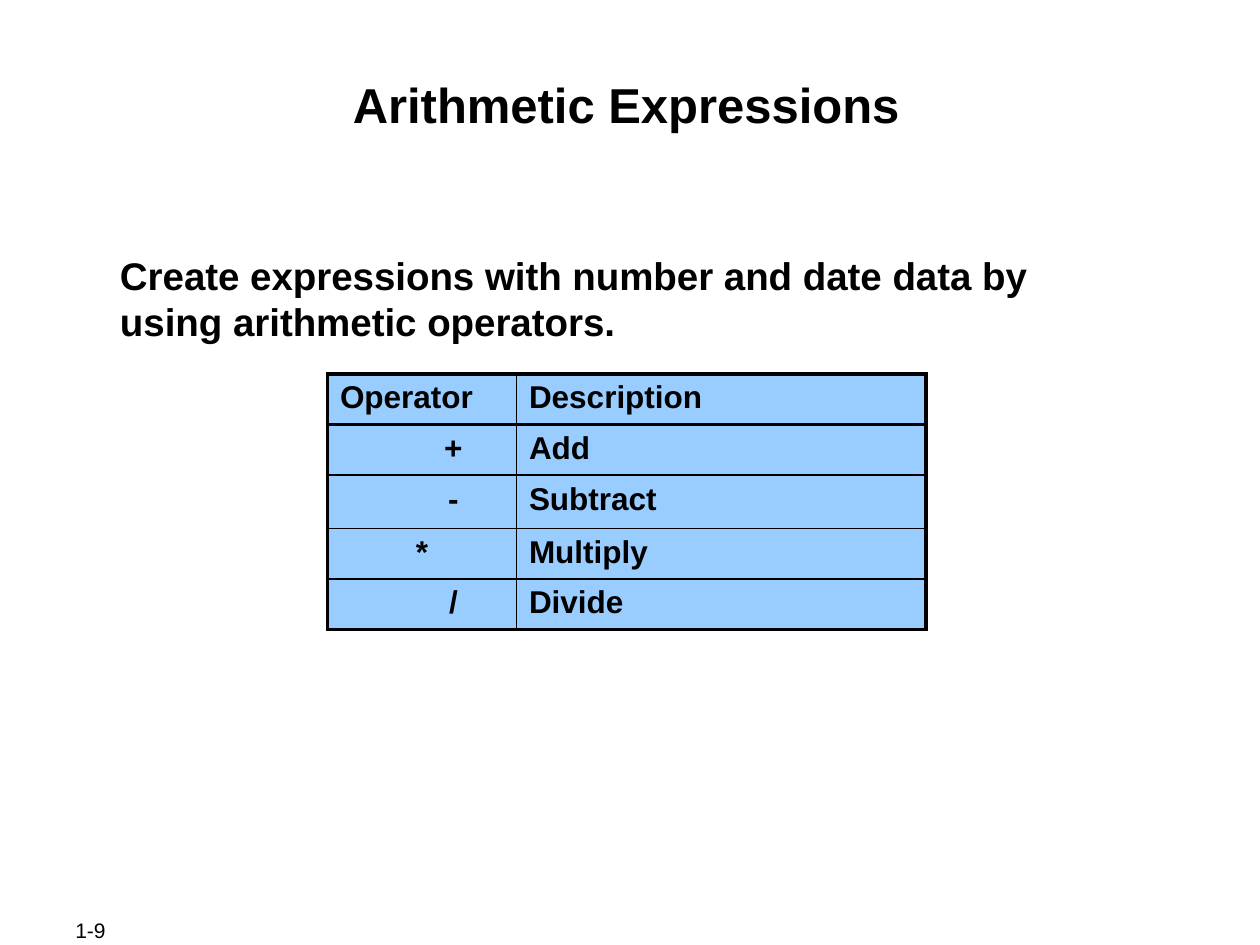
from lxml.etree import SubElement
from pptx import Presentation
from pptx.dml.color import RGBColor
from pptx.enum.text import MSO_ANCHOR as ANCHOR, MSO_AUTO_SIZE as AUTO, PP_ALIGN as ALIGN
from pptx.oxml.ns import qn
from pptx.util import Cm, Pt

TITLE = "Arithmetic Expressions"
BODY = "Create expressions with number and date data by using arithmetic operators."
PAGE = "1-9"
# operator, description, whether the operator is indented
ROWS = [
    ("Operator", "Description", False),
    ("+", "Add", True),
    ("-", "Subtract", True),
    ("*", "Multiply", False),
    ("/", "Divide", True),
]
COL_WIDTHS = [3.81, 8.26]
ROW_HEIGHTS = [1.02, 1.02, 1.07, 1.02, 1.02]
BLACK, LIGHT_BLUE = "000000", "99CCFF"
THIN, THICK = 1, 2.25


def color(hex_code):
    return RGBColor.from_string(hex_code)


def write(tf, text, size, bold=True, align=ALIGN.LEFT, before=0.2):
    """Fill the first paragraph; before is a share of the text size."""
    p = tf.paragraphs[0]
    p.alignment = align
    p.space_before = Pt(round(size * before, 1))
    r = p.add_run()
    r.text = text
    r.font.name, r.font.size, r.font.bold = "Arial", Pt(size), bold
    r.font.color.rgb = color(BLACK)
    return p


def place(sp, left, top, width, height):
    sp.left, sp.top, sp.width, sp.height = Cm(left), Cm(top), Cm(width), Cm(height)


def set_frame(tf, inset=0.03, anchor=ANCHOR.TOP, wrap=True):
    tf.auto_size, tf.word_wrap, tf.vertical_anchor = AUTO.NONE, wrap, anchor
    if inset is not None:
        tf.margin_left = tf.margin_right = tf.margin_top = tf.margin_bottom = Cm(inset)
    return tf


def set_borders(cell, widths):
    """Draw the left, right, top and bottom edges, ahead of the fill in the XML."""
    tc_pr = cell._tc.get_or_add_tcPr()
    for i, (side, width) in enumerate(zip("LRTB", widths)):
        ln = SubElement(tc_pr, qn(f"a:ln{side}"), w=str(Pt(width)))
        fill = SubElement(ln, qn("a:solidFill"))
        SubElement(fill, qn("a:srgbClr"), val=BLACK)
        tc_pr.insert(i, ln)


def add_operator_table(s):
    frame = s.shapes.add_table(len(ROWS), len(COL_WIDTHS), Cm(6.6), Cm(7.54),
                               Cm(sum(COL_WIDTHS)), Cm(sum(ROW_HEIGHTS)))
    table = frame.table
    table.first_row = table.horz_banding = False
    for col, width in zip(table.columns, COL_WIDTHS):
        col.width = Cm(width)
    for row, height in zip(table.rows, ROW_HEIGHTS):
        row.height = Cm(height)

    last = len(ROWS) - 1
    for i, (operator, description, indented) in enumerate(ROWS):
        for j, text in enumerate((operator, description)):
            cell = table.cell(i, j)
            cell.fill.solid()
            cell.fill.fore_color.rgb = color(LIGHT_BLUE)
            is_symbol = i > 0 and j == 0
            p = write(cell.text_frame, text, 18,
                      align=ALIGN.CENTER if is_symbol else ALIGN.LEFT)
            if is_symbol and indented:
                p.level = 1
                p_pr = p._p.get_or_add_pPr()
                p_pr.set("marL", str(Cm(0.3)))
                p_pr.set("indent", str(Cm(0.97)))
            thick = (j == 0, j == 1, i in (0, 1), i in (0, last))
            set_borders(cell, [THICK if t else THIN for t in thick])


def main():
    prs = Presentation()
    prs.slide_width, prs.slide_height = Cm(25.4), Cm(19.05)
    s = prs.slides.add_slide(prs.slide_layouts[5])

    title = s.shapes.title
    place(title, 2.46, 1.47, 20.32, 2.44)
    write(set_frame(title.text_frame), TITLE, 28, align=ALIGN.CENTER)

    body = s.shapes.add_textbox(Cm(2.39), Cm(5.05), Cm(20.47), Cm(1.93))
    write(set_frame(body.text_frame), BODY, 22)

    add_operator_table(s)

    page = s.shapes.add_textbox(Cm(1.27), Cm(18.49), Cm(2.69), Cm(0.51))
    tf = set_frame(page.text_frame, inset=None, anchor=ANCHOR.MIDDLE, wrap=False)
    write(tf, PAGE, 12, bold=False, align=ALIGN.JUSTIFY, before=0)

    prs.save("out.pptx")


if __name__ == "__main__":
    main()
